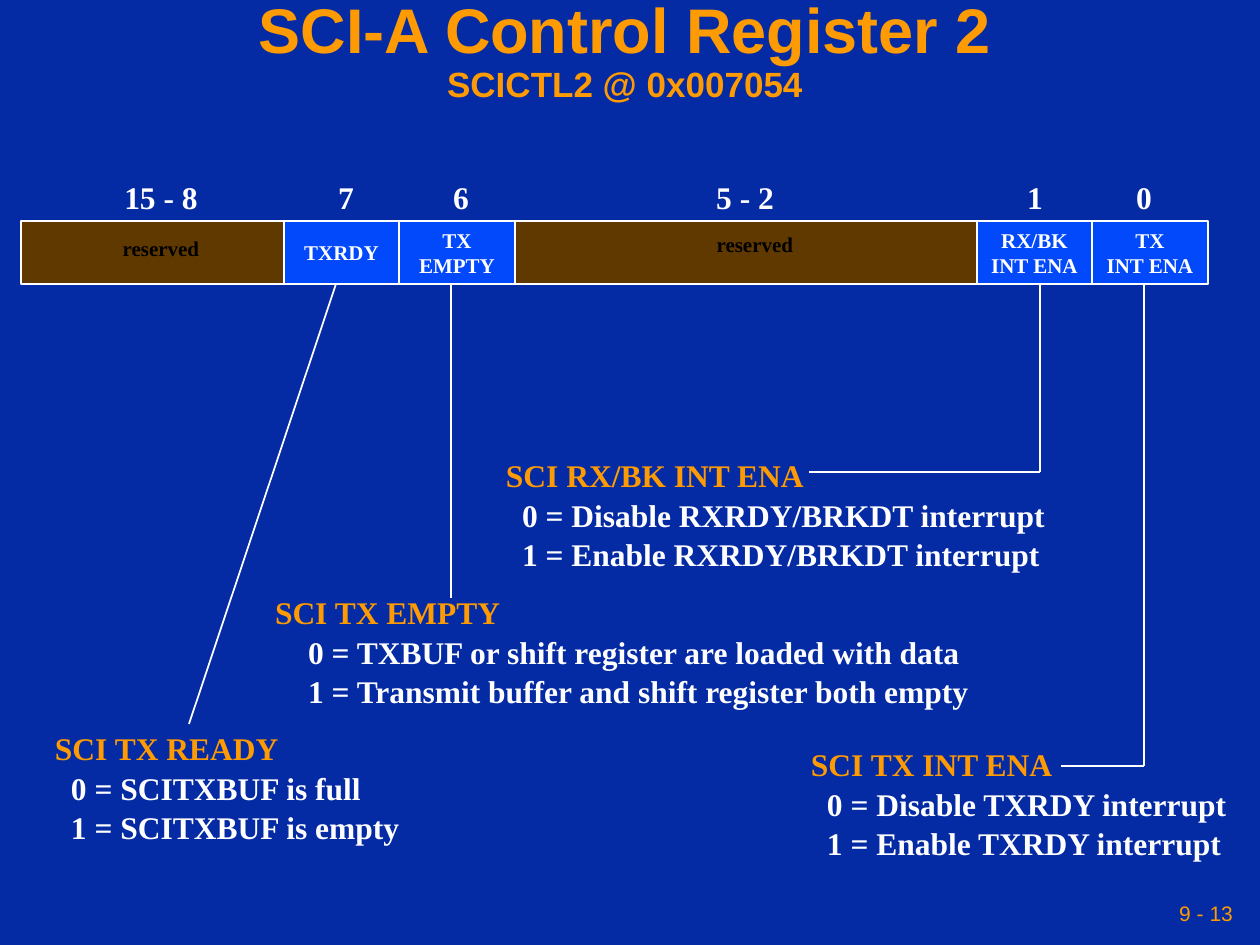
"""Build the SCI-A Control Register 2 slide: bit field, callouts and leader lines."""
from itertools import pairwise
from typing import Any, NamedTuple

from lxml import etree
from pptx import Presentation
from pptx import util as u
from pptx.dml.color import RGBColor
from pptx.enum import shapes, text
from pptx.oxml import ns

PX_PER_INCH = 126
ORANGE, WHITE, BLACK = "FE9B03", "FFFFFF", "000000"
NAVY, BLUE, BROWN = "042AA4", "0249FC", "603900"
SERIF, SANS = "Times New Roman", "Arial"
CENTER, LEFT, RIGHT = text.PP_ALIGN.CENTER, text.PP_ALIGN.LEFT, text.PP_ALIGN.RIGHT
TOP, MIDDLE = text.MSO_ANCHOR.TOP, text.MSO_ANCHOR.MIDDLE
GROW, FIXED = text.MSO_AUTO_SIZE.SHAPE_TO_FIT_TEXT, text.MSO_AUTO_SIZE.NONE
REGISTER_LEFT, REGISTER_TOP, REGISTER_HEIGHT = 21, 221, 63
REGISTER_BOTTOM = REGISTER_TOP + REGISTER_HEIGHT


class Field(NamedTuple):
    width: int
    fill: str
    lines: tuple[str, ...] = ()


class Label(NamedTuple):
    words: str
    center: int
    top: int
    width: int
    height: int
    size: int
    color: str
    anchor: Any


class Callout(NamedTuple):
    left: int
    top: int
    width: int
    indent: int
    heading: str
    values: tuple[str, str]


FIELDS = (
    Field(263, BROWN),
    Field(115, BLUE, ("TXRDY",)),
    Field(116, BLUE, ("TX", "EMPTY")),
    Field(462, BROWN),
    Field(115, BLUE, ("RX/BK", "INT ENA")),
    Field(116, BLUE, ("TX", "INT ENA")),
)
BITS = (("15 - 8", 161, 110), ("7", 346, 50), ("6", 461, 50),
        ("5 - 2", 745, 96), ("1", 1035, 50), ("0", 1144, 50))
LABELS = [Label(bits, center, 179, width, 43, 18, WHITE, TOP) for bits, center, width in BITS] + [
    Label("reserved", center, top, 114, 33, 12, BLACK, MIDDLE) for center, top in ((161, 234), (755, 230))
]
CALLOUTS = (
    Callout(43, 729, 390, 16, "SCI TX READY",
            ("0 = SCITXBUF is full", "1 = SCITXBUF is empty")),
    Callout(263, 593, 740, 33, "SCI TX EMPTY",
            ("0 = TXBUF or shift register are loaded with data",
             "1 = Transmit buffer and shift register both empty")),
    Callout(799, 745, 456, 16, "SCI TX INT ENA",
            ("0 = Disable TXRDY interrupt", "1 = Enable TXRDY interrupt")),
    Callout(494, 456, 584, 16, "SCI RX/BK INT ENA",
            ("0 = Disable RXRDY/BRKDT interrupt", "1 = Enable RXRDY/BRKDT interrupt")),
)
LEADERS = (
    ((1144, REGISTER_BOTTOM), (1144, 766), (1061, 766)),
    ((1040, REGISTER_BOTTOM), (1040, 472), (809, 472)),
    ((451, REGISTER_BOTTOM), (451, 598)),
    ((336, REGISTER_BOTTOM), (189, 724)),
)


def px(length: int) -> u.Emu:
    """Turn pixels into EMU."""
    return u.Emu(round(length * 914400 / PX_PER_INCH))


def rgb(color: str) -> RGBColor:
    """Turn a hex string into a colour."""
    return RGBColor.from_string(color)


def assign(target: Any, values: dict[str, Any]) -> None:
    """Set every named attribute on the target."""
    for name, value in values.items():
        setattr(target, name, value)


def set_frame(frame: Any, anchor: Any, fit: Any, wrap: bool = False, side: int = 12) -> None:
    """Set anchoring, fitting, wrapping and insets of a text frame."""
    assign(frame, {"word_wrap": wrap, "auto_size": fit, "vertical_anchor": anchor,
                   "margin_left": px(side), "margin_right": px(side),
                   "margin_top": px(6), "margin_bottom": px(6)})


def add_span(para: Any, words: str, size: int, color: str, face: str = SERIF, bold: bool = True) -> None:
    """Add one formatted run to a paragraph."""
    span = para.add_run()
    span.text = words
    assign(span.font, {"size": u.Pt(size), "name": face, "bold": bold})
    span.font.color.rgb = rgb(color)


def next_para(frame: Any, first: bool, **values: Any) -> Any:
    """Return the first paragraph of a frame or a new one, formatted."""
    para = frame.paragraphs[0] if first else frame.add_paragraph()
    assign(para, values)
    return para


def add_box(page: Any, left: int, top: int, width: int, height: int) -> Any:
    """Add a text box and return its frame."""
    return page.shapes.add_textbox(px(left), px(top), px(width), px(height)).text_frame


def add_title(page: Any) -> None:
    """Place and fill the title placeholder."""
    box = page.shapes.title
    assign(box, {"left": px(0), "top": px(0), "width": px(1250), "height": px(105)})
    set_frame(box.text_frame, MIDDLE, FIXED, wrap=True, side=6)
    para = next_para(box.text_frame, True, alignment=CENTER, line_spacing=0.9)
    add_span(para, "SCI-A Control Register 2", 36, ORANGE, SANS)
    para.add_line_break()
    etree.SubElement(para._p.find(ns.qn("a:br")), ns.qn("a:rPr"), sz="3600")
    add_span(para, "SCICTL2 @ 0x007054", 20, ORANGE, SANS)


def add_field(page: Any, field: Field, left: int) -> None:
    """Draw one cell of the register."""
    box = page.shapes.add_shape(shapes.MSO_SHAPE.RECTANGLE, px(left), px(REGISTER_TOP),
                                px(field.width), px(REGISTER_HEIGHT))
    box.shadow.inherit = False
    box.fill.solid()
    box.fill.fore_color.rgb = rgb(field.fill)
    box.line.color.rgb = rgb(WHITE)
    box.line.width = u.Pt(1)
    set_frame(box.text_frame, MIDDLE, FIXED)
    for index, words in enumerate(field.lines):
        add_span(next_para(box.text_frame, index == 0, alignment=CENTER), words, 12, WHITE)


def add_label(page: Any, label: Label) -> None:
    """Write one centred label."""
    frame = add_box(page, label.center - label.width // 2, label.top, label.width, label.height)
    set_frame(frame, label.anchor, FIXED, wrap=True)
    para = next_para(frame, True, alignment=CENTER, line_spacing=0.8)
    add_span(para, label.words, label.size, label.color)


def add_callout(page: Any, callout: Callout) -> None:
    """Write a heading with its indented bit values."""
    frame = add_box(page, callout.left, callout.top, callout.width, 121)
    set_frame(frame, MIDDLE, GROW, wrap=True)
    para = next_para(frame, True, alignment=LEFT, line_spacing=0.8)
    add_span(para, callout.heading, 18, ORANGE)
    for value in callout.values:
        para = next_para(frame, False, alignment=LEFT, line_spacing=0.5, space_before=u.Pt(11.2))
        para._p.get_or_add_pPr().set("marL", str(px(callout.indent)))
        add_span(para, value, 18, WHITE)


def add_leader(page: Any, start: tuple[int, int], end: tuple[int, int]) -> None:
    """Draw one straight leader segment."""
    line = page.shapes.add_connector(shapes.MSO_CONNECTOR.STRAIGHT, *map(px, start + end))
    line.line.color.rgb = rgb(WHITE)
    line.line.width = u.Pt(1)
    etree.SubElement(line._element.spPr, ns.qn("a:effectLst"))


def add_page_number(page: Any) -> None:
    """Write the page number in the lower right corner."""
    frame = add_box(page, 861, 892, 378, 42)
    set_frame(frame, MIDDLE, FIXED, wrap=True, side=6)
    add_span(next_para(frame, True, alignment=RIGHT), "9 - 13", 12, ORANGE, SANS, False)


def main() -> None:
    """Build and save the deck."""
    deck = Presentation()
    assign(deck, {"slide_width": px(1260), "slide_height": px(945)})
    page = deck.slides.add_slide(deck.slide_layouts[5])
    page.background.fill.solid()
    page.background.fill.fore_color.rgb = rgb(NAVY)
    add_title(page)
    left = REGISTER_LEFT
    for field in FIELDS:
        add_field(page, field, left)
        left += field.width
    for label in LABELS:
        add_label(page, label)
    for callout in CALLOUTS:
        add_callout(page, callout)
    for leader in LEADERS:
        for start, end in pairwise(leader):
            add_leader(page, start, end)
    add_page_number(page)
    deck.save("out.pptx")


if __name__ == "__main__":
    main()
